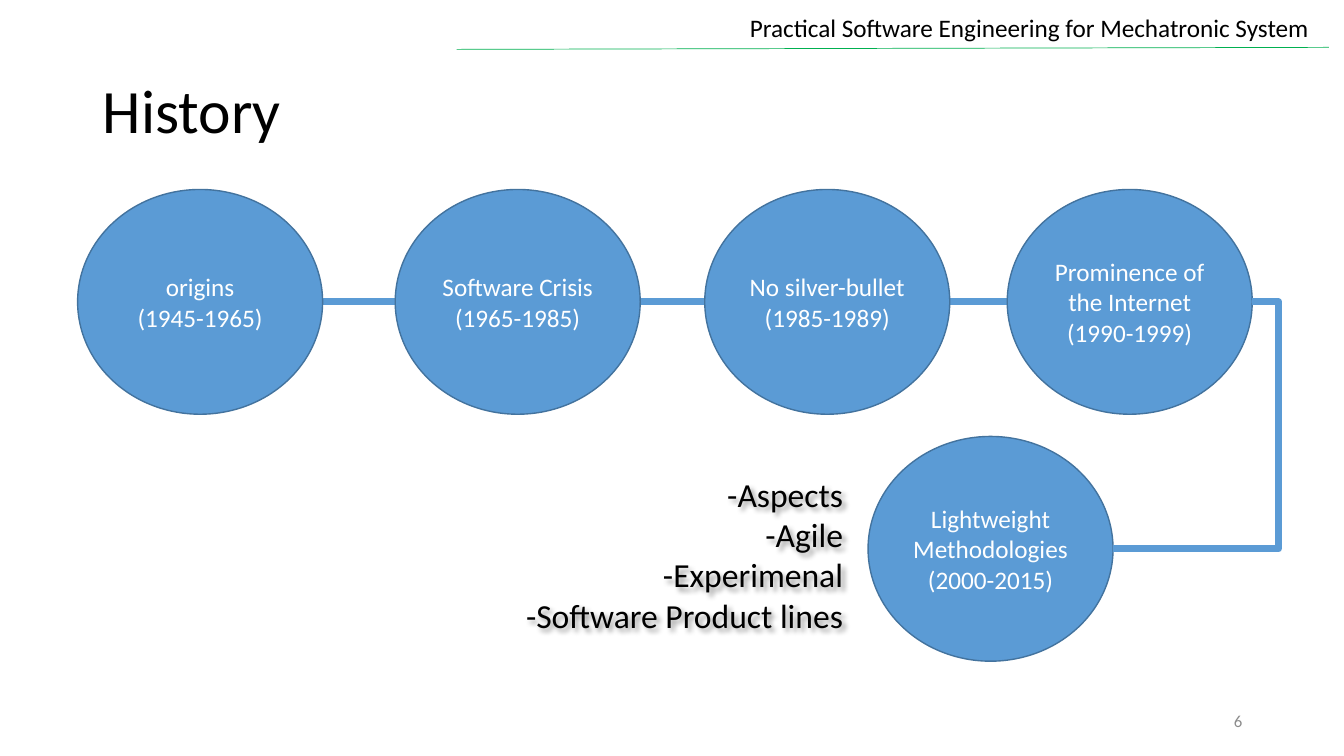
from dataclasses import dataclass

import pptx
import pptx.dml.color
import pptx.enum.shapes
import pptx.enum.text
import pptx.oxml
import pptx.oxml.ns
import pptx.util

Inches = pptx.util.Inches
ALIGN = pptx.enum.text.PP_ALIGN
ANCHOR = pptx.enum.text.MSO_ANCHOR
CONNECTOR = pptx.enum.shapes.MSO_CONNECTOR


@dataclass(frozen=True)
class Theme:
    font: str = "Calibri"
    text: str = "000000"
    muted: str = "8C8C8C"
    light: str = "FFFFFF"
    blue: str = "5B9BD5"
    outline: str = "43739E"
    green: str = "00B050"
    title_size: int = 44
    list_size: int = 24
    body_size: int = 18
    number_size: int = 12


THEME = Theme()
CIRCLE_WIDTH, CIRCLE_HEIGHT = 2.43, 2.23
TIMELINE_TOP = 1.88
ERAS = [
    (0.77, ["origins", "(1945-1965)"], 0.1),
    (3.92, ["Software Crisis", "(1965-1985)"], 0.1),
    (6.99, ["No silver-bullet", "(1985-1989)"], 0),
    (9.99, ["Prominence of the Internet", "(1990-1999)"], 0.1),
]
LATEST_LEFT, LATEST_TOP = 8.61, 4.33
LATEST_ERA = ["Lightweight Methodologies", "(2000-2015)"]
METHODS = ["-Aspects", "-Agile", "-Experimenal", "-Software Product lines"]
TEXT_SHADOW = (
    '<a:effectLst %s><a:outerShdw blurRad="50800" dist="38100" dir="2700000" '
    'algn="tl" rotWithShape="0"><a:srgbClr val="000000"><a:alpha val="40000"/>'
    "</a:srgbClr></a:outerShdw></a:effectLst>" % pptx.oxml.ns.nsdecls("a")
)


def rgb(value):
    return pptx.dml.color.RGBColor.from_string(value)


def write_lines(frame, lines, size, color, align, anchor=ANCHOR.TOP):
    """Fill a text frame with one paragraph for each line."""
    frame.word_wrap = True
    frame.vertical_anchor = anchor
    for index, line in enumerate(lines):
        paragraph = frame.add_paragraph() if index else frame.paragraphs[0]
        paragraph.alignment = align
        run = paragraph.add_run()
        run.text = line
        run.font.name = THEME.font
        run.font.size = pptx.util.Pt(size)
        run.font.color.rgb = rgb(color)


def add_text(slide, box, lines, size, color=THEME.text, anchor=ANCHOR.TOP):
    shape = slide.shapes.add_textbox(*map(Inches, box))
    write_lines(shape.text_frame, lines, size, color, ALIGN.RIGHT, anchor)
    return shape


def add_line(slide, kind, start, end, color, width):
    line = slide.shapes.add_connector(kind, *map(Inches, start + end))
    line.line.color.rgb = rgb(color)
    line.line.width = pptx.util.Pt(width)
    properties = line._element.spPr
    properties.append(pptx.oxml.parse_xml("<a:effectLst %s/>" % pptx.oxml.ns.nsdecls("a")))
    return line


def add_header(slide, left, top, width, height):
    add_text(slide, (left, top, width, height),
             ["Practical Software Engineering for Mechatronic System"], THEME.body_size)
    add_line(slide, CONNECTOR.STRAIGHT, (left - 0.35, top + 0.42),
             (left + width + 0.1, top + 0.4), THEME.green, 0.5)


def add_title(slide, left, top, width, height):
    title = slide.shapes.title
    title.left, title.top, title.width, title.height = map(Inches, (left, top, width, height))
    write_lines(title.text_frame, ["History"], THEME.title_size, THEME.text,
                ALIGN.LEFT, ANCHOR.MIDDLE)
    title.text_frame.paragraphs[0].line_spacing = 0.9


def add_era(slide, left, top, lines, inset):
    circle = slide.shapes.add_shape(
        pptx.enum.shapes.MSO_SHAPE.OVAL,
        *map(Inches, (left, top, CIRCLE_WIDTH, CIRCLE_HEIGHT)))
    circle.shadow.inherit = False
    circle.fill.solid()
    circle.fill.fore_color.rgb = rgb(THEME.blue)
    circle.line.color.rgb = rgb(THEME.outline)
    circle.line.width = pptx.util.Pt(1)
    frame = circle.text_frame
    frame.margin_left = frame.margin_right = Inches(inset)
    frame.margin_top = frame.margin_bottom = Inches(inset / 2)
    write_lines(frame, lines, THEME.body_size, THEME.light, ALIGN.CENTER, ANCHOR.MIDDLE)


def add_timeline(slide, top):
    """Place the row of eras over the line that joins them."""
    middle = top + CIRCLE_HEIGHT / 2
    add_line(slide, CONNECTOR.STRAIGHT, (ERAS[0][0] + CIRCLE_WIDTH, middle),
             (ERAS[-1][0], middle), THEME.blue, 5)
    for left, lines, inset in ERAS:
        add_era(slide, left, top, lines, inset)


def add_latest_era(slide, left, top):
    """Place the last era, its bent link from the row above and its methods."""
    add_era(slide, left, top, LATEST_ERA, 0)
    start = (ERAS[-1][0] + CIRCLE_WIDTH, TIMELINE_TOP + CIRCLE_HEIGHT / 2)
    end = (left + CIRCLE_WIDTH, top + CIRCLE_HEIGHT / 2)
    link = add_line(slide, CONNECTOR.ELBOW, start, end, THEME.blue, 5)
    adjustments = link._element.spPr.prstGeom.get_or_add_avLst()
    guide = pptx.oxml.parse_xml(
        '<a:gd %s name="adj1" fmla="val -18900"/>' % pptx.oxml.ns.nsdecls("a"))
    adjustments.append(guide)
    methods = add_text(slide, (left - 3.56, top + 0.32, 3.41, 1.72), METHODS, THEME.list_size)
    methods._element.spPr.append(pptx.oxml.parse_xml(TEXT_SHADOW))


def build_history_slide(presentation):
    slide = presentation.slides.add_slide(presentation.slide_layouts[5])
    add_header(slide, 4.88, 0.07, 8.2, 0.4)
    add_title(slide, 0.92, 0.4, 11.5, 1.45)
    add_text(slide, (9.42, 6.95, 3, 0.4), ["6"], THEME.number_size, THEME.muted, ANCHOR.MIDDLE)
    add_timeline(slide, TIMELINE_TOP)
    add_latest_era(slide, LATEST_LEFT, LATEST_TOP)


def main():
    presentation = pptx.Presentation()
    presentation.slide_width = Inches(13.33)
    presentation.slide_height = Inches(7.5)
    build_history_slide(presentation)
    presentation.save("out.pptx")


if __name__ == "__main__":
    main()
